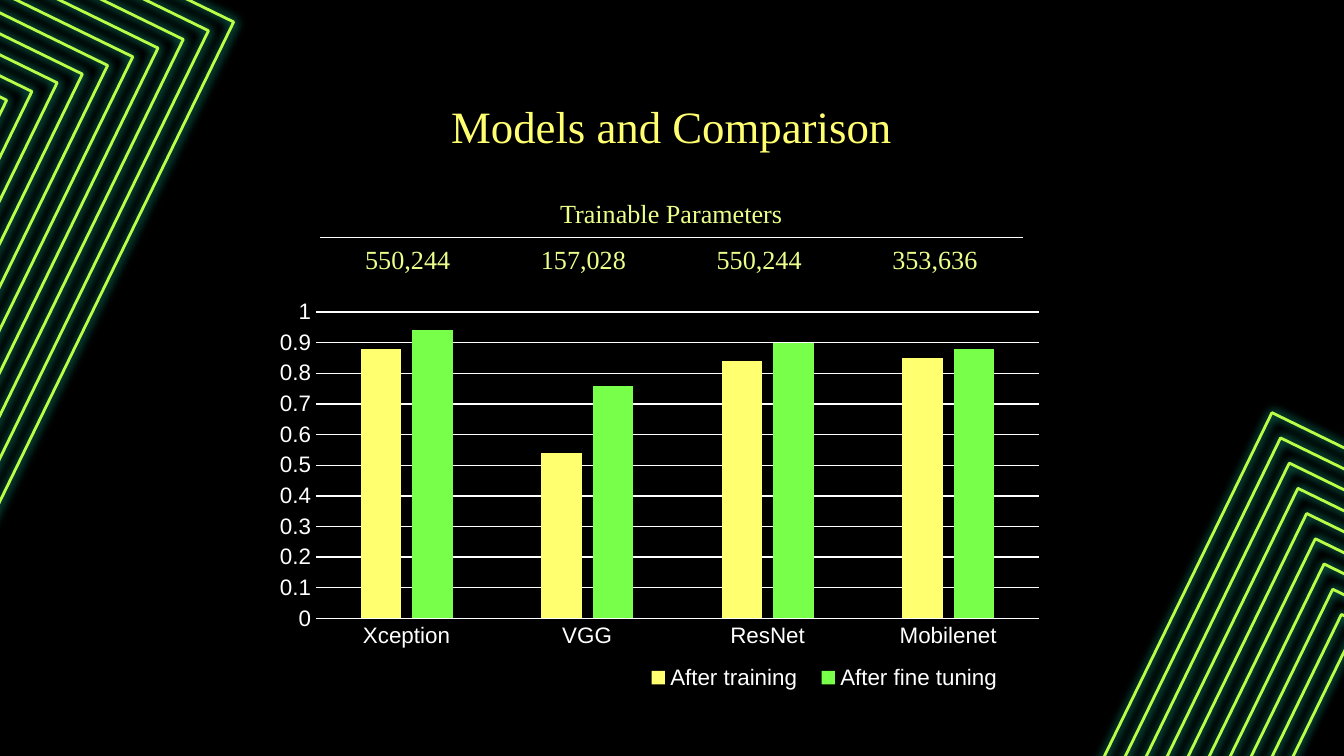
from dataclasses import dataclass

from lxml import etree
from pptx import Presentation
from pptx import util as u
from pptx.chart.data import CategoryChartData
from pptx.dml.color import RGBColor
from pptx.enum import chart as charts, shapes, text
from pptx.oxml import parse_xml
from pptx.oxml.ns import qn

WIDTH, HEIGHT = u.Inches(10), u.Inches(5.625)
DRAWING = "http://schemas.openxmlformats.org/drawingml/2006/main"


@dataclass(frozen=True)
class Theme:
    background: str = "000000"
    title: str = "FFFF70"
    table_text: str = "ECFF8C"
    rule: str = "FFFFFF"
    chart_text: str = "FFFFFF"
    diamond: str = "BCFD45"
    glow: str = "1FFFCE"
    bars: tuple = ("FFFF70", "77FF4A")
    serif: str = "Times New Roman"
    sans: str = "Arial"
    title_size: int = 24
    table_size: int = 14
    chart_size: int = 12


@dataclass(frozen=True)
class Area:
    """A rectangle in percent of the slide's width and height."""
    left: float
    top: float
    width: float
    height: float

    def lengths(self) -> tuple:
        return tuple(round(share * side / 100) for share, side in
                     zip((self.left, self.top, self.width, self.height),
                         (WIDTH, HEIGHT) * 2))


@dataclass(frozen=True)
class Nest:
    """Concentric diamonds: centre in percent of the slide, sizes in percent of its width."""
    x: float
    y: float
    largest: float = 70.1
    step: float = 3.97
    count: int = 10


THEME = Theme()
NESTS = (Nest(-15.75, 23.2), Nest(106.05, 113.5))
TITLE_AREA = Area(26.4, 9.07, 47.1, 15.11)
TABLE_AREA = Area(23.8, 25.24, 52.3, 12.4)
CHART_AREA = Area(19.6, 38.58, 58.8, 54.04)
PARAMETERS = ("550,244", "157,028", "550,244", "353,636")
MODELS = ("Xception", "VGG", "ResNet", "Mobilenet")
SCORES = {"After training": (0.88, 0.54, 0.84, 0.85),
          "After fine tuning": (0.94, 0.76, 0.9, 0.88)}


def rgb(colour: str) -> RGBColor:
    return RGBColor.from_string(colour)


def set_font(font, *, size: int, face: str, colour: str) -> None:
    font.size, font.name, font.bold = u.Pt(size), face, False
    font.color.rgb = rgb(colour)


def write(frame, words: str, *, size: int, face: str, colour: str) -> None:
    para = frame.paragraphs[0]
    para.alignment = text.PP_ALIGN.CENTER
    span = para.add_run()
    span.text = words
    set_font(span.font, size=size, face=face, colour=colour)


def draw_nest(slide, nest: Nest) -> None:
    for index in range(nest.count):
        side = round(WIDTH * (nest.largest - index * nest.step) / 100)
        left = round(WIDTH * nest.x / 100 - side / 2)
        top = round(HEIGHT * nest.y / 100 - side / 2)
        diamond = slide.shapes.add_shape(
            shapes.MSO_SHAPE.DIAMOND, left, top, side, side)
        diamond.rotation = 341
        diamond.fill.background()
        diamond.line.color.rgb = rgb(THEME.diamond)
        diamond.line.width = u.Pt(1.5)
        diamond.shadow.inherit = False
        effects = diamond._element.spPr.find(qn("a:effectLst"))
        effects.append(parse_xml(
            f'<a:outerShdw xmlns:a="{DRAWING}" blurRad="{u.Pt(5.6)}" dist="0" '
            f'algn="ctr" rotWithShape="0"><a:srgbClr val="{THEME.glow}">'
            '<a:alpha val="90000"/></a:srgbClr></a:outerShdw>'))


def draw_title(slide) -> None:
    title = slide.shapes.title
    title.left, title.top, title.width, title.height = TITLE_AREA.lengths()
    frame = title.text_frame
    frame.word_wrap = True
    frame.auto_size = text.MSO_AUTO_SIZE.NONE
    frame.vertical_anchor = text.MSO_ANCHOR.MIDDLE
    frame.margin_left = frame.margin_right = u.Inches(0.1)
    frame.margin_top = frame.margin_bottom = u.Inches(0.1)
    write(frame, "Models and Comparison", size=THEME.title_size,
          face=THEME.serif, colour=THEME.title)


def rule_edge(cell, edge: str) -> None:
    """Draw a thin line along one edge: lnT or lnB."""
    cell._tc.get_or_add_tcPr().insert(0, parse_xml(
        f'<a:{edge} xmlns:a="{DRAWING}" w="{u.Pt(0.75)}"><a:solidFill>'
        f'<a:srgbClr val="{THEME.rule}"/></a:solidFill></a:{edge}>'))


def draw_table(slide) -> None:
    table = slide.shapes.add_table(
        2, len(PARAMETERS), *TABLE_AREA.lengths()).table
    table.first_row = table.horz_banding = False
    style = table._tbl.tblPr.find(qn("a:tableStyleId"))
    style.text = "{2D5ABB26-0587-4C30-8999-92F81FD0307C}"
    table.cell(0, 0).merge(table.cell(0, len(PARAMETERS) - 1))
    labels = [(0, 0, "Trainable Parameters")]
    labels += [(1, column, count) for column, count in enumerate(PARAMETERS)]
    for row, column, label in labels:
        cell = table.cell(row, column)
        cell.vertical_anchor = text.MSO_ANCHOR.MIDDLE
        write(cell.text_frame, label, size=THEME.table_size,
              face=THEME.serif, colour=THEME.table_text)
    for cell in table.iter_cells():
        cell.fill.background()
    for column in range(len(PARAMETERS)):
        rule_edge(table.cell(0, column), "lnB")
        rule_edge(table.cell(1, column), "lnT")


def place(layout_parent, after: str, *, x, y, w, h, inner: bool = False) -> None:
    """Fix the place of a chart part in shares of the chart."""
    for old in layout_parent.findall(qn("c:layout")):
        layout_parent.remove(old)
    layout = etree.Element(qn("c:layout"))
    manual = etree.SubElement(layout, qn("c:manualLayout"))
    settings = {"layoutTarget": "inner"} if inner else {}
    settings |= {"xMode": "edge", "yMode": "edge", "x": x, "y": y, "w": w, "h": h}
    for name, setting in settings.items():
        etree.SubElement(manual, qn(f"c:{name}")).set("val", str(setting))
    before = layout_parent.find(qn(after)) if after else None
    layout_parent.insert(0 if before is None else layout_parent.index(before) + 1, layout)


def draw_chart(slide) -> None:
    data = CategoryChartData()
    data.categories = MODELS
    for name, scores in SCORES.items():
        data.add_series(name, scores)
    chart = slide.shapes.add_chart(
        charts.XL_CHART_TYPE.COLUMN_CLUSTERED, *CHART_AREA.lengths(), data).chart
    style = dict(size=THEME.chart_size, face=THEME.sans, colour=THEME.chart_text)
    set_font(chart.font, **style)
    chart.has_title = False
    chart.has_legend = True
    chart.legend.position = charts.XL_LEGEND_POSITION.BOTTOM
    chart.legend.include_in_layout = False
    set_font(chart.legend.font, **style)

    plot = chart.plots[0]
    plot.gap_width, plot.overlap, plot.vary_by_categories = 219, -27, False
    for series, colour in zip(plot.series, THEME.bars):
        series.format.fill.solid()
        series.format.fill.fore_color.rgb = rgb(colour)

    scale = chart.value_axis
    scale.minimum_scale, scale.maximum_scale, scale.major_unit = 0, 1, 0.1
    scale.has_major_gridlines = True
    scale.format.line.fill.background()
    for axis in (chart.category_axis, scale):
        axis.major_tick_mark = axis.minor_tick_mark = charts.XL_TICK_MARK.NONE
        set_font(axis.tick_labels.font, **style)
    for line in (chart.category_axis.format.line, scale.major_gridlines.format.line):
        line.color.rgb = rgb(THEME.chart_text)
        line.width = u.Pt(0.75)

    area = chart._chartSpace.chart.plotArea
    place(area, "", x=0.067, y=0.05, w=0.914, h=0.75, inner=True)
    place(chart.legend._element, "c:legendPos", x=0.47, y=0.9, w=0.48, h=0.09)


def main() -> None:
    deck = Presentation()
    deck.slide_width, deck.slide_height = WIDTH, HEIGHT
    slide = deck.slides.add_slide(deck.slide_layouts.get_by_name("Title Only"))
    slide.background.fill.solid()
    slide.background.fill.fore_color.rgb = rgb(THEME.background)
    for nest in NESTS:
        draw_nest(slide, nest)
    draw_title(slide)
    draw_chart(slide)
    draw_table(slide)
    deck.save("out.pptx")


if __name__ == "__main__":
    main()
